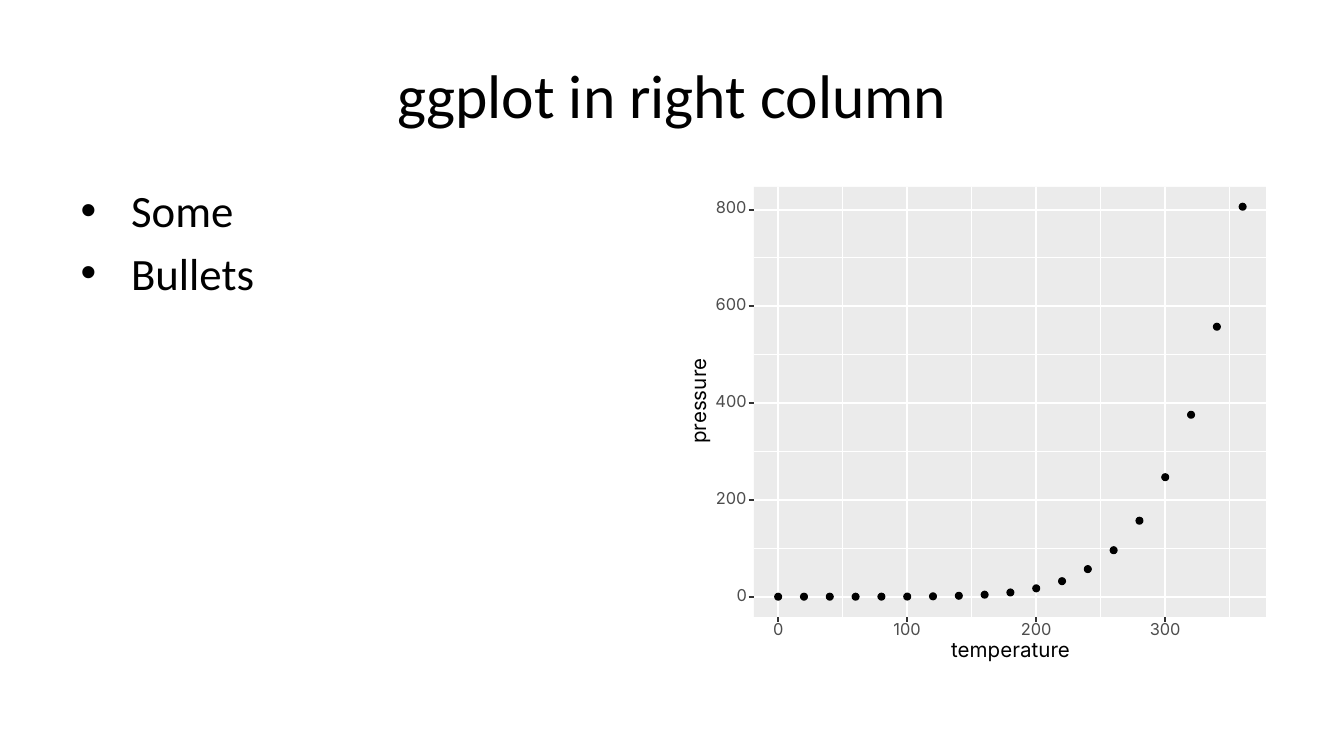
from dataclasses import dataclass

from lxml.etree import SubElement
from pptx import Presentation
from pptx.dml.color import RGBColor
from pptx.enum.shapes import MSO_CONNECTOR as Connector, MSO_SHAPE as Shape
from pptx.enum.text import MSO_ANCHOR as Anchor, MSO_AUTO_SIZE as AutoSize
from pptx.enum.text import PP_ALIGN as Align
from pptx.oxml.ns import qn
from pptx.util import Inches, Pt

BLACK = RGBColor(0x00, 0x00, 0x00)
WHITE = RGBColor(0xFF, 0xFF, 0xFF)
PANEL_GREY = RGBColor(0xEB, 0xEB, 0xEB)
TICK_GREY = RGBColor(0x33, 0x33, 0x33)
LABEL_GREY = RGBColor(0x4D, 0x4D, 0x4D)

MINOR_WIDTH, MAJOR_WIDTH = 0.53, 1.07
TICK_LENGTH = 0.04
DOT_SIZE = 0.05
TEMPERATURE_STEP = 20
PRESSURES = (0, 0, 0.01, 0.03, 0.09, 0.27, 0.75, 1.85, 4.2, 8.8,
             17.3, 32.1, 57, 96, 157, 247, 376, 558, 806)


@dataclass(frozen=True)
class Box:
    """A rectangle in inches."""
    left: float
    top: float
    width: float
    height: float

    @property
    def right(self) -> float:
        """Right edge."""
        return self.left + self.width

    @property
    def bottom(self) -> float:
        """Bottom edge."""
        return self.top + self.height

    def lengths(self) -> list:
        """Left, top, width and height as slide lengths."""
        return [Inches(v) for v in (self.left, self.top, self.width, self.height)]


@dataclass(frozen=True)
class Axis:
    """A linear scale with its labelled and its unlabelled breaks."""
    origin: float
    inches_per_unit: float
    major: range
    minor: range

    def place(self, value: float) -> float:
        """Position of a value on the slide, in inches."""
        return self.origin + value * self.inches_per_unit


PLOT = Box(5.08, 1.31, 4.42, 3.71)
PANEL = Box(5.61, 1.39, 3.81, 3.2)
TEMPERATURE = Axis(5.79, 0.0096, range(0, 301, 100), range(50, 351, 100))
PRESSURE = Axis(4.44, -0.0036, range(0, 801, 200), range(100, 701, 200))


def write(frame, lines: list[str], *, size: float, font: str,
          color: RGBColor = BLACK, align=None, spacing=None) -> None:
    """Fill a text frame with one formatted paragraph per line."""
    for index, line in enumerate(lines):
        para = frame.add_paragraph() if index else frame.paragraphs[0]
        para.alignment = align
        para.line_spacing = spacing
        span = para.add_run()
        span.text = line
        span.font.size = Pt(size)
        span.font.name = font
        span.font.color.rgb = color


def fill_placeholder(holder, box: Box, lines: list[str], **text_format) -> None:
    """Move a placeholder and write its text."""
    holder.left, holder.top, holder.width, holder.height = box.lengths()
    write(holder.text_frame, lines, font="Calibri", **text_format)


def add_filled(shapes, kind, box: Box, fill: RGBColor, line_width: float = 0) -> None:
    """Draw a flat shape, outlined in its own colour if a width is given."""
    shape = shapes.add_shape(kind, *box.lengths())
    shape.shadow.inherit = False
    shape.fill.solid()
    shape.fill.fore_color.rgb = fill
    if line_width:
        shape.line.color.rgb = fill
        shape.line.width = Pt(line_width)
    else:
        shape.line.fill.background()


def add_line(shapes, start: tuple[float, float], end: tuple[float, float],
             color: RGBColor, width: float) -> None:
    """Draw a straight line without shadow."""
    line = shapes.add_connector(
        Connector.STRAIGHT, *(Inches(v) for v in (*start, *end)))
    line.line.color.rgb = color
    line.line.width = Pt(width)
    SubElement(line._element.spPr, qn("a:effectLst"))


def add_label(shapes, box: Box, text: str, *, size: float,
              color: RGBColor, rotation: float = 0) -> None:
    """Write a tight, unwrapped text label."""
    label = shapes.add_textbox(*box.lengths())
    label.rotation = rotation
    frame = label.text_frame
    frame.word_wrap = False
    frame.auto_size = AutoSize.NONE
    frame.vertical_anchor = Anchor.MIDDLE
    frame.margin_left = frame.margin_right = 0
    frame.margin_top = frame.margin_bottom = 0
    write(frame, [text], size=size, font="Inter", color=color,
          align=Align.CENTER, spacing=Pt(size))


def add_grid(shapes) -> None:
    """Draw the minor grid lines, then the major ones."""
    for level, width in (("minor", MINOR_WIDTH), ("major", MAJOR_WIDTH)):
        for value in getattr(PRESSURE, level):
            y = PRESSURE.place(value)
            add_line(shapes, (PANEL.left, y), (PANEL.right, y), WHITE, width)
        for value in getattr(TEMPERATURE, level):
            x = TEMPERATURE.place(value)
            add_line(shapes, (x, PANEL.bottom), (x, PANEL.top), WHITE, width)


def add_dots(shapes) -> None:
    """Draw one dot for each measurement."""
    for index, pressure in enumerate(PRESSURES):
        x = TEMPERATURE.place(index * TEMPERATURE_STEP)
        y = PRESSURE.place(pressure)
        dot = Box(x - DOT_SIZE / 2, y - DOT_SIZE / 2, DOT_SIZE, DOT_SIZE)
        add_filled(shapes, Shape.OVAL, dot, BLACK, 0.71)


def add_ticks(shapes) -> None:
    """Draw the ticks and their numbers along both axes."""
    def add_number(value: int, left_of, top: float) -> None:
        width = 0.24 if value else 0.08
        add_label(shapes, Box(left_of(width), top, width, 0.09), str(value),
                  size=8.8, color=LABEL_GREY)

    for value in PRESSURE.major:
        y = PRESSURE.place(value)
        add_line(shapes, (PANEL.left - TICK_LENGTH, y), (PANEL.left, y),
                 TICK_GREY, MAJOR_WIDTH)
        add_number(value, lambda width: PANEL.left - 0.05 - width, y - 0.05)
    for value in TEMPERATURE.major:
        x = TEMPERATURE.place(value)
        add_line(shapes, (x, PANEL.bottom + TICK_LENGTH), (x, PANEL.bottom),
                 TICK_GREY, MAJOR_WIDTH)
        add_number(value, lambda width: x - width / 2, PANEL.bottom + 0.06)


def add_plot(page) -> None:
    """Draw the scatter plot as one group."""
    shapes = page.shapes.add_group_shape().shapes
    for line_width in (0.75, MAJOR_WIDTH):
        add_filled(shapes, Shape.RECTANGLE, PLOT, WHITE, line_width)
    add_filled(shapes, Shape.RECTANGLE, PANEL, PANEL_GREY)
    add_grid(shapes)
    add_dots(shapes)
    add_ticks(shapes)
    add_label(shapes, Box(7.06, 4.78, 0.92, 0.13), "temperature",
              size=11, color=BLACK)
    add_label(shapes, Box(4.87, 2.93, 0.68, 0.11), "pressure",
              size=11, color=BLACK, rotation=270)


def main() -> None:
    """Build and save the deck."""
    deck = Presentation()
    deck.slide_width = Inches(10)
    deck.slide_height = deck.slide_width * 9 // 16
    page = deck.slides.add_slide(deck.slide_layouts[1])
    title, body = page.placeholders
    fill_placeholder(title, Box(0.5, 0.23, 9, 0.94), ["ggplot in right column"],
                     size=33, align=Align.CENTER)
    fill_placeholder(body, Box(0.5, 1.31, 9, 3.71), ["Some", "Bullets"], size=24)
    add_plot(page)
    deck.save("out.pptx")


main()
